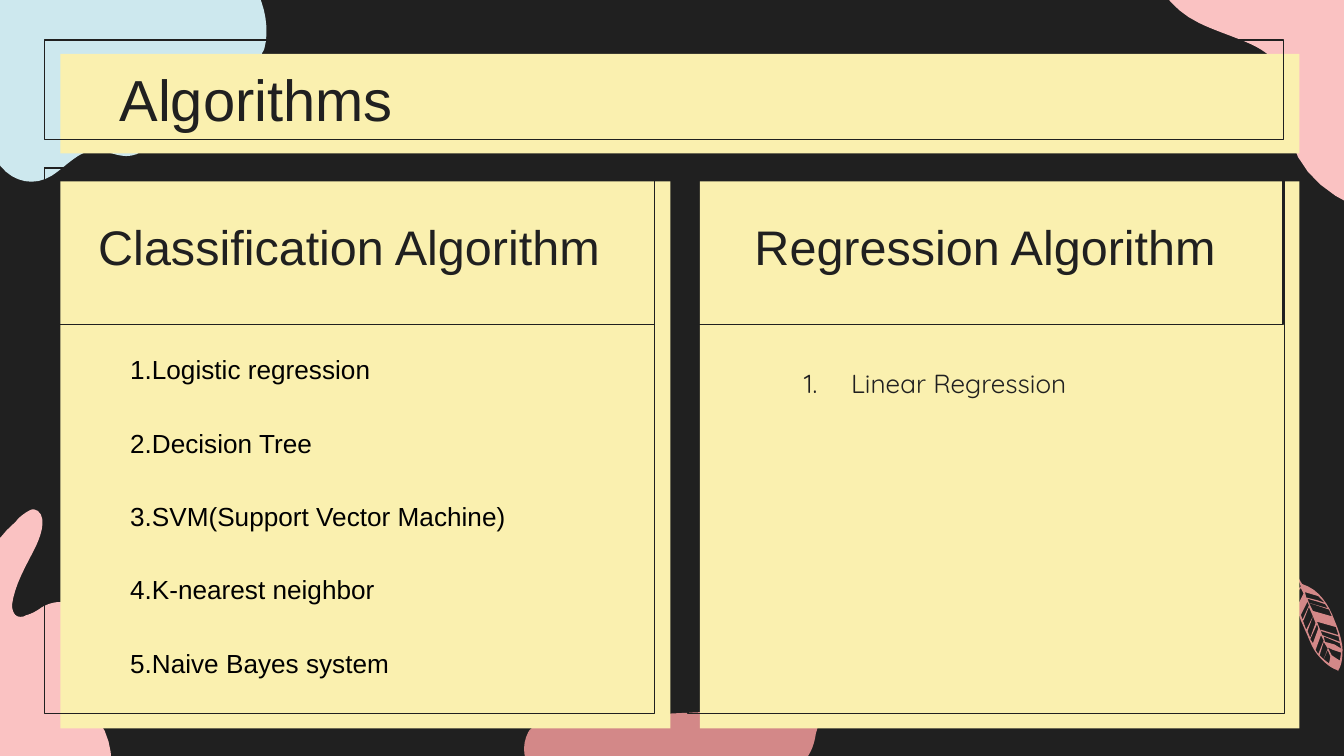
from dataclasses import dataclass
from math import cos, radians, sin

from lxml.etree import SubElement
from pptx import Presentation
from pptx.dml.color import RGBColor
from pptx.enum.shapes import MSO_SHAPE as Shape
from pptx.enum.text import MSO_ANCHOR as Anchor, PP_ALIGN as Align
from pptx.oxml.ns import qn
from pptx.util import Cm, Pt


@dataclass(frozen=True)
class Theme:
    ink: str = "202020"
    black: str = "000000"
    cream: str = "FAF0AF"
    pink: str = "FAC2C2"
    rose: str = "D38888"
    sky: str = "CDE8EE"
    sans: str = "Arial"
    rounded: str = "Quicksand"
    title: float = 31
    heading: float = 26
    body: float = 14
    line: float = 0.75


class Painter:
    """Draws styled elements on one slide."""

    def __init__(self, page, theme):
        self.page, self.theme = page, theme
        page.background.fill.solid()
        page.background.fill.fore_color.rgb = RGBColor.from_string(theme.ink)

    def paint(self, shape, color):
        shape.shadow.inherit = False
        shape.fill.solid()
        shape.fill.fore_color.rgb = RGBColor.from_string(color)
        shape.line.fill.background()

    def card(self, *place):
        shape = self.page.shapes.add_shape(Shape.RECTANGLE, *map(Cm, place))
        self.paint(shape, self.theme.cream)

    def frame(self, *place):
        shape = self.page.shapes.add_shape(Shape.RECTANGLE, *map(Cm, place))
        shape.shadow.inherit = False
        shape.fill.background()
        shape.line.color.rgb = RGBColor.from_string(self.theme.ink)
        shape.line.width = Pt(self.theme.line)
        return shape

    def outline(self, contours, color, angle=0, center=(0, 0)):
        turn, (cx, cy) = radians(-angle), center
        turned = [[(100 * (cx + (x - cx) * cos(turn) - (y - cy) * sin(turn)),
                    100 * (cy + (x - cx) * sin(turn) + (y - cy) * cos(turn)))
                   for x, y in contour] for contour in contours]
        builder = self.page.shapes.build_freeform(*turned[0][0], scale=Cm(2.54) / 10000)
        for index, contour in enumerate(turned):
            if index:
                builder.move_to(*contour[0])
            builder.add_line_segments(contour[1:], close=True)
        shape = builder.convert_to_shape()
        self.paint(shape, color)
        shape.rotation = angle

    def label(self, box, lines, size, font=None, color=None, align=Align.LEFT):
        frame = box.text_frame
        frame.word_wrap = True
        frame.vertical_anchor = Anchor.MIDDLE
        frame.margin_left = frame.margin_right = Cm(0.25)
        frame.margin_top = frame.margin_bottom = Cm(0.25)
        frame.text = "\n".join(lines)
        for para in frame.paragraphs:
            para.alignment = align
            para.font.size = Pt(size)
            para.font.name = font or self.theme.sans
            para.font.color.rgb = RGBColor.from_string(color or self.theme.ink)
        return frame.paragraphs

    def text(self, place, lines, size, **style):
        box = self.page.shapes.add_textbox(*map(Cm, place))
        return self.label(box, lines, size, **style)

    def heading(self, place, words):
        self.label(self.frame(*place), [words], self.theme.heading, align=Align.CENTER)

    def numbered(self, place, items, margin, hang, gap=0, spacing=1, **style):
        paras = self.text(place, items, self.theme.body, **style)
        for index, para in enumerate(paras):
            para.line_spacing = spacing
            para.space_before = Pt(gap if index else 0)
            props = para._p.get_or_add_pPr()
            props.set("marL", str(Cm(margin)))
            props.set("indent", str(-Cm(hang)))
            bullet = SubElement(props, qn("a:buAutoNum"), type="arabicPeriod")
            props.remove(bullet)
            props.insert_element_before(bullet, "a:tabLst", "a:defRPr", "a:extLst")


def curve(start, *bends, steps=8):
    points = [start]
    for bend in bends:
        knots = [points[-1], bend[:2], bend[2:4], bend[4:]]
        for step in range(1, steps + 1):
            t = step / steps
            weights = ((1 - t) ** 3, 3 * t * (1 - t) ** 2, 3 * t * t * (1 - t), t ** 3)
            points.append(tuple(sum(w * knot[axis] for w, knot in zip(weights, knots))
                                for axis in (0, 1)))
    return points


LEFT_BLOB = curve(
    (25, 379), (23, 379, 22, 380, 20, 381), (17, 383, 14, 385, 12, 388),
    (-7, 404, -20, 431, -28, 453), (-37, 480, -39, 510, -31, 538),
    (-23, 568, 5, 608, 38, 608), (47, 608, 55, 605, 64, 599),
    (84, 586, 87, 565, 78, 544), (68, 524, 47, 509, 51, 484),
    (52, 477, 55, 470, 56, 462), (56, 452, 52, 448, 45, 448),
    (41, 448, 36, 449, 31, 452), (27, 455, 23, 457, 19, 458),
    (18, 459, 16, 459, 15, 459), (11, 459, 9, 455, 9, 450),
    (11, 435, 19, 422, 26, 408), (29, 402, 36, 386, 28, 380), (27, 380, 26, 379, 25, 379))
BOTTOM_BLOB = curve(
    (595, 527), (593, 527, 590, 527, 588, 527), (531, 530, 473, 531, 418, 537),
    (405, 538, 395, 540, 393, 545), (388, 555, 389, 566, 397, 576),
    (399, 578, 402, 580, 407, 582), (413, 584, 420, 584, 428, 584),
    (447, 584, 461, 584, 474, 584), (502, 583, 529, 583, 556, 581),
    (580, 580, 592, 574, 598, 567), (604, 560, 606, 553, 607, 546),
    (608, 543, 609, 539, 610, 536), (611, 533, 612, 530, 605, 528),
    (604, 528, 602, 528, 600, 527), (599, 527, 597, 527, 595, 527))
SKY_BLOB = curve(
    (196, 42), (196, 40, 197, 39, 198, 37), (202, 23, 199, 4, 191, -9),
    (181, -27, 164, -38, 144, -41), (136, -42, 128, -43, 120, -43),
    (94, -45, 66, -44, 40, -37), (24, -32, 8, -24, -3, -12),
    (-6, -9, -8, -5, -10, -2), (-25, 23, -21, 54, -15, 81),
    (-12, 96, -8, 112, 2, 124), (12, 136, 27, 139, 40, 131),
    (51, 124, 60, 112, 73, 112), (85, 113, 92, 119, 103, 115),
    (132, 104, 131, 67, 163, 59), (175, 54, 189, 53, 196, 42))
RIGHT_BLOB = curve(
    (988, -99), (956, -99, 924, -94, 895, -87), (887, -85, 880, -83, 873, -80),
    (873, -80, 873, -79, 872, -79), (857, -70, 853, -52, 854, -36),
    (857, -13, 871, 7, 892, 17), (904, 23, 918, 27, 931, 33),
    (940, 37, 949, 44, 955, 52), (963, 63, 959, 78, 959, 91),
    (960, 129, 997, 154, 1032, 161), (1037, 162, 1042, 162, 1047, 162),
    (1061, 162, 1075, 159, 1086, 150), (1107, 133, 1110, 106, 1110, 82),
    (1110, 51, 1106, 20, 1100, -10), (1096, -33, 1090, -57, 1074, -73),
    (1060, -87, 1041, -94, 1022, -97), (1011, -98, 999, -99, 988, -99))
LEAF = curve(
    (964, 427), (966, 431, 967, 434, 968, 437), (967, 437, 967, 438, 966, 439),
    (963, 442, 963, 447, 964, 451), (964, 454, 966, 457, 967, 459),
    (968, 463, 970, 466, 971, 469), (974, 475, 976, 482, 980, 487),
    (984, 492, 989, 497, 995, 499), (996, 500, 996, 500, 996, 499),
    (999, 494, 999, 488, 999, 482), (998, 475, 996, 469, 993, 462),
    (989, 451, 982, 439, 969, 435), (967, 432, 966, 430, 965, 427))
LEAF_GAPS = [
    [(967, 439), (968, 438), (970, 442), (965, 452), (964, 445)],
    [(971, 441), (981, 444), (986, 449), (980, 447), (972, 445)],
    [(973, 448), (974, 451), (969, 462), (970, 462), (974, 452), (977, 459),
     (972, 469), (968, 458)],
    [(973, 446), (980, 448), (986, 450), (988, 453), (974, 449)],
    [(977, 459), (979, 464), (975, 475), (973, 470)],
    [(974, 449), (989, 454), (991, 459), (984, 457), (977, 455)],
    [(980, 465), (981, 468), (977, 479), (975, 476)],
    [(983, 473), (985, 477), (981, 487), (979, 484)],
    [(985, 478), (988, 483), (985, 491), (982, 488)],
    [(980, 463), (987, 465), (994, 467), (996, 473), (983, 469), (983, 470),
     (996, 474), (997, 478), (984, 473)],
    [(985, 474), (997, 479), (998, 483), (993, 480), (986, 478)],
    [(988, 484), (990, 489), (989, 494), (985, 491)],
    [(988, 482), (992, 484), (998, 486), (997, 492), (991, 488)],
]

deck = Presentation()
deck.slide_width, deck.slide_height = Cm(25.4), Cm(14.29)
theme = Theme()
painter = Painter(deck.slides.add_slide(deck.slide_layouts[6]), theme)

painter.outline([LEFT_BLOB], theme.pink)
painter.outline([BOTTOM_BLOB], theme.rose)
painter.card(1.14, 3.43, 11.53, 10.34)
painter.outline([SKY_BLOB], theme.sky, 120, (78.5, 44))
painter.outline([RIGHT_BLOB], theme.pink)
painter.card(1.14, 1.02, 23.42, 1.88)
painter.outline([LEAF, *LEAF_GAPS], theme.rose, 309.9, (980, 463.5))
painter.card(13.23, 3.43, 11.33, 10.34)

painter.frame(13, 3.18, 11.28, 10.31)
painter.frame(0.84, 3.18, 11.53, 10.31)
painter.frame(0.84, 0.76, 23.42, 1.88)

painter.text((2.01, 1.07, 21.41, 1.57), ["Algorithms"], theme.title)
painter.heading((0.84, 3.18, 11.53, 2.95), "Classification Algorithm")
painter.numbered(
    (2.21, 9.14, 9.25, 1.14),
    ["Logistic regression", "Decision Tree", "SVM(Support Vector Machine)",
     "K-nearest neighbor", "Naive Bayes system"],
    margin=0.15, hang=0.15, gap=20, spacing=1.15, color=theme.black)
painter.numbered((14.45, 6.68, 6.07, 1.14), ["Linear Regression"],
                 margin=1.27, hang=0.89, font=theme.rounded, align=Align.CENTER)
painter.heading((13, 3.18, 11.25, 2.95), "Regression Algorithm")

deck.save("out.pptx")
